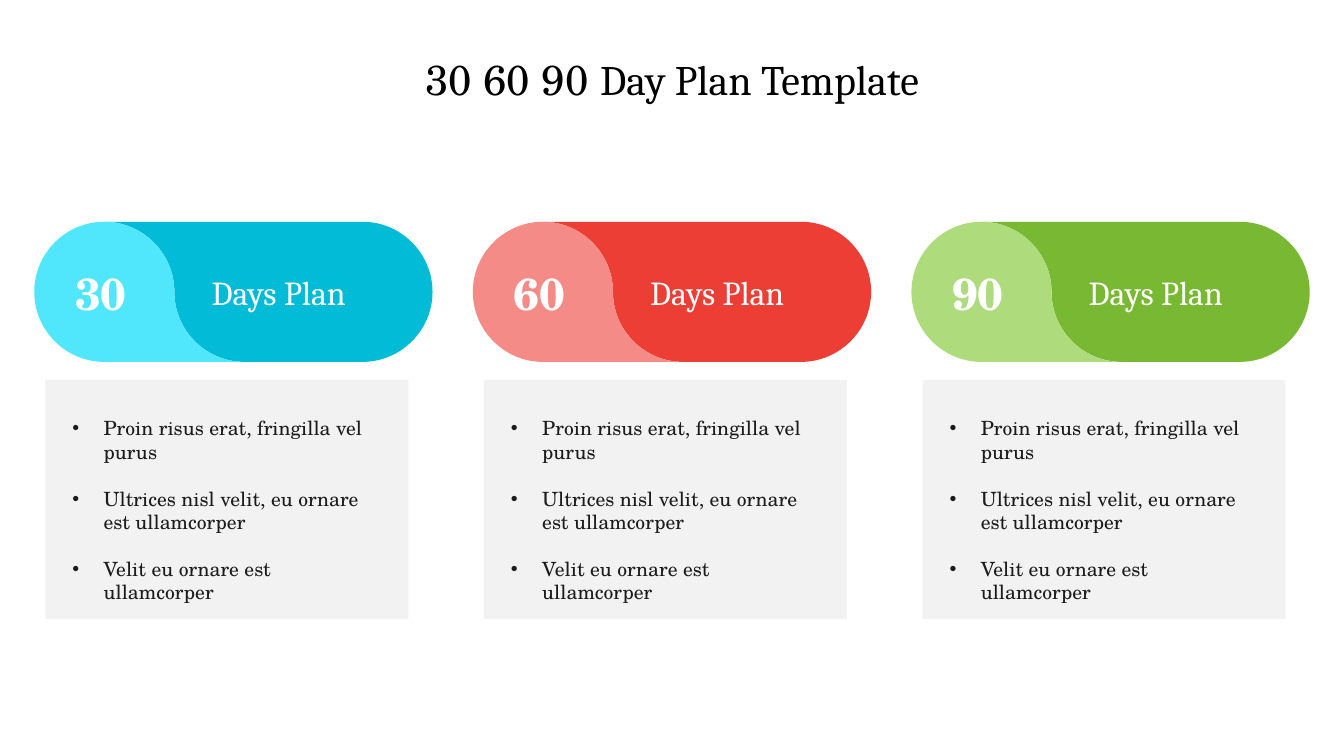
from dataclasses import dataclass

from lxml import etree
from pptx import Presentation
from pptx import util as u
from pptx.dml.color import RGBColor
from pptx.enum import shapes, text
from pptx.oxml.ns import qn
from pptx.shapes.autoshape import Shape
from pptx.slide import Slide
from pptx.text.text import _Run as Run

COLORS = {
    "black": "000000", "white": "FFFFFF", "ink": "1D1C1D", "panel": "F2F2F2",
    "cyan": "02BBD6", "light_cyan": "50E7FD",
    "red": "EC3E35", "light_red": "F48B86",
    "green": "78B832", "light_green": "AEDC7D",
}
SERIF, HEADING = "TeX Gyre Schola", "Cambria"
TASKS = [
    "Proin risus erat, fringilla vel purus",
    "Ultrices nisl velit, eu ornare est ullamcorper",
    "Velit eu ornare est ullamcorper",
]
FIRST_LEFT, COLUMN_STEP = 0.34, 4.35
PILL_TOP, PILL_WIDTH, PILL_HEIGHT = 2.2, 3.95, 1.39
RADIUS = PILL_HEIGHT / 2
PILL_MIDDLE, PILL_BOTTOM = PILL_TOP + RADIUS, PILL_TOP + PILL_HEIGHT
ROUNDNESS = 0.55
Point = tuple[float, float]


@dataclass
class Stage:
    """One period of the plan and its pair of colours."""
    days: str
    color: str
    light_color: str


STAGES = [
    Stage("30", "cyan", "light_cyan"),
    Stage("60", "red", "light_red"),
    Stage("90", "green", "light_green"),
]


def style_run(run: Run, font: str, size: float, color: str, bold: bool = False) -> None:
    """Give a run its font, size, colour and weight."""
    run.font.name = font
    run.font.size = u.Pt(size)
    run.font.bold = bold
    run.font.color.rgb = RGBColor.from_string(COLORS[color])


def paint(shape: Shape, color: str) -> None:
    """Fill a shape flat, without outline or shadow."""
    shape.shadow.inherit = False
    shape.fill.solid()
    shape.fill.fore_color.rgb = RGBColor.from_string(COLORS[color])
    shape.line.fill.background()


def curve(start: Point, end: Point) -> list[Point]:
    """Return two controls and the end of a quarter turn, upright at mid-height, or a line."""
    (x1, y1), (x2, y2) = start, end
    if y1 == y2:
        return [start, end, end]
    across, down = ROUNDNESS * (x2 - x1), ROUNDNESS * (y2 - y1)
    if y1 == PILL_MIDDLE:
        return [(x1, y1 + down), (x2 - across, y2), end]
    return [(x1 + across, y1), (x2, y2 - down), end]


def add_outline(slide: Slide, anchors: list[Point], color: str) -> None:
    """Draw a closed, filled outline of curves between the anchors."""
    points = anchors[:1]
    for start, end in zip(anchors, anchors[1:] + anchors[:1]):
        points += curve(start, end)
    corners = [(u.Inches(x), u.Inches(y)) for x, y in points]
    builder = slide.shapes.build_freeform(*corners[0])
    builder.add_line_segments(corners[1:], close=True)
    shape = builder.convert_to_shape()
    segments = list(shape._element.iter(qn("a:lnTo")))
    for index in range(0, len(segments), 3):
        bezier = etree.Element(qn("a:cubicBezTo"))
        segments[index].addprevious(bezier)
        for segment in segments[index:index + 3]:
            bezier.append(segment[0])
            segment.getparent().remove(segment)
    paint(shape, color)


def add_pill(slide: Slide, left: float, stage: Stage) -> None:
    """Draw the two interlocking halves of a pill."""
    right = left + PILL_WIDTH
    wave = [(left + RADIUS, PILL_TOP), (left + 2 * RADIUS, PILL_MIDDLE),
            (left + 3 * RADIUS, PILL_BOTTOM)]
    right_cap = [(right - RADIUS, PILL_BOTTOM), (right, PILL_MIDDLE), (right - RADIUS, PILL_TOP)]
    left_cap = [(left + RADIUS, PILL_BOTTOM), (left, PILL_MIDDLE)]
    add_outline(slide, wave + right_cap, stage.color)
    add_outline(slide, wave + left_cap, stage.light_color)


def add_text_box(slide: Slide, left: float, top: float, width: float, height: float,
                 lines: list[str]) -> Shape:
    """Add a wrapping text box with one paragraph per line."""
    box = slide.shapes.add_textbox(*map(u.Inches, (left, top, width, height)))
    box.text_frame.word_wrap = True
    box.text_frame.text = "\n".join(lines)
    return box


def add_label(slide: Slide, left: float, top: float, width: float, height: float,
              label: str, font: str, size: float, bold: bool, centered: bool) -> None:
    """Add a one-line white label."""
    box = add_text_box(slide, left, top, width, height, [label])
    paragraph = box.text_frame.paragraphs[0]
    paragraph.alignment = text.PP_ALIGN.CENTER if centered else text.PP_ALIGN.LEFT
    style_run(paragraph.runs[0], font, size, "white", bold)


def add_tasks(slide: Slide, left: float) -> None:
    """Add the grey panel and its bulleted tasks."""
    panel = slide.shapes.add_shape(
        shapes.MSO_SHAPE.RECTANGLE, *map(u.Inches, (left + 0.11, 3.77, 3.6, 2.37)))
    paint(panel, "panel")
    box = add_text_box(slide, left + 0.28, 4.08, 3.26, 1.75, TASKS)
    for paragraph in box.text_frame.paragraphs:
        properties = paragraph._p.get_or_add_pPr()
        properties.set("marL", str(u.Inches(0.31)))
        properties.set("indent", str(-u.Inches(0.31)))
        etree.SubElement(properties, qn("a:buFont"), typeface="Arial")
        etree.SubElement(properties, qn("a:buChar"), char="•")
        paragraph.space_after = u.Pt(16.6)
        style_run(paragraph.runs[0], SERIF, 14, "ink")


def add_stage(slide: Slide, left: float, stage: Stage) -> None:
    """Draw one column of the plan."""
    add_pill(slide, left, stage)
    add_label(slide, left + 0.28, 2.59, 0.76, 0.64, stage.days, SERIF, 32, True, True)
    add_label(slide, left + 1.66, 2.65, 1.97, 0.5, "Days Plan", HEADING, 24, False, False)
    add_tasks(slide, left)


def set_title(slide: Slide) -> None:
    """Place and format the slide title."""
    title = slide.shapes.title
    title.left, title.top, title.width, title.height = map(u.Inches, (0, 0.48, 13.33, 0.61))
    frame = title.text_frame
    frame.auto_size = text.MSO_AUTO_SIZE.NONE
    frame.vertical_anchor = text.MSO_ANCHOR.TOP
    paragraph = frame.paragraphs[0]
    paragraph.alignment = text.PP_ALIGN.CENTER
    for words, font in (("30 60 90 ", SERIF), ("Day Plan Template", HEADING)):
        run = paragraph.add_run()
        run.text = words
        style_run(run, font, 30, "black")


def main() -> None:
    """Build and save the plan slide."""
    presentation = Presentation()
    presentation.slide_width = u.Inches(13.33)
    presentation.slide_height = u.Inches(7.5)
    slide = presentation.slides.add_slide(presentation.slide_layouts[5])
    set_title(slide)
    for index, stage in enumerate(STAGES):
        add_stage(slide, FIRST_LEFT + index * COLUMN_STEP, stage)
    presentation.save("out.pptx")


if __name__ == "__main__":
    main()
